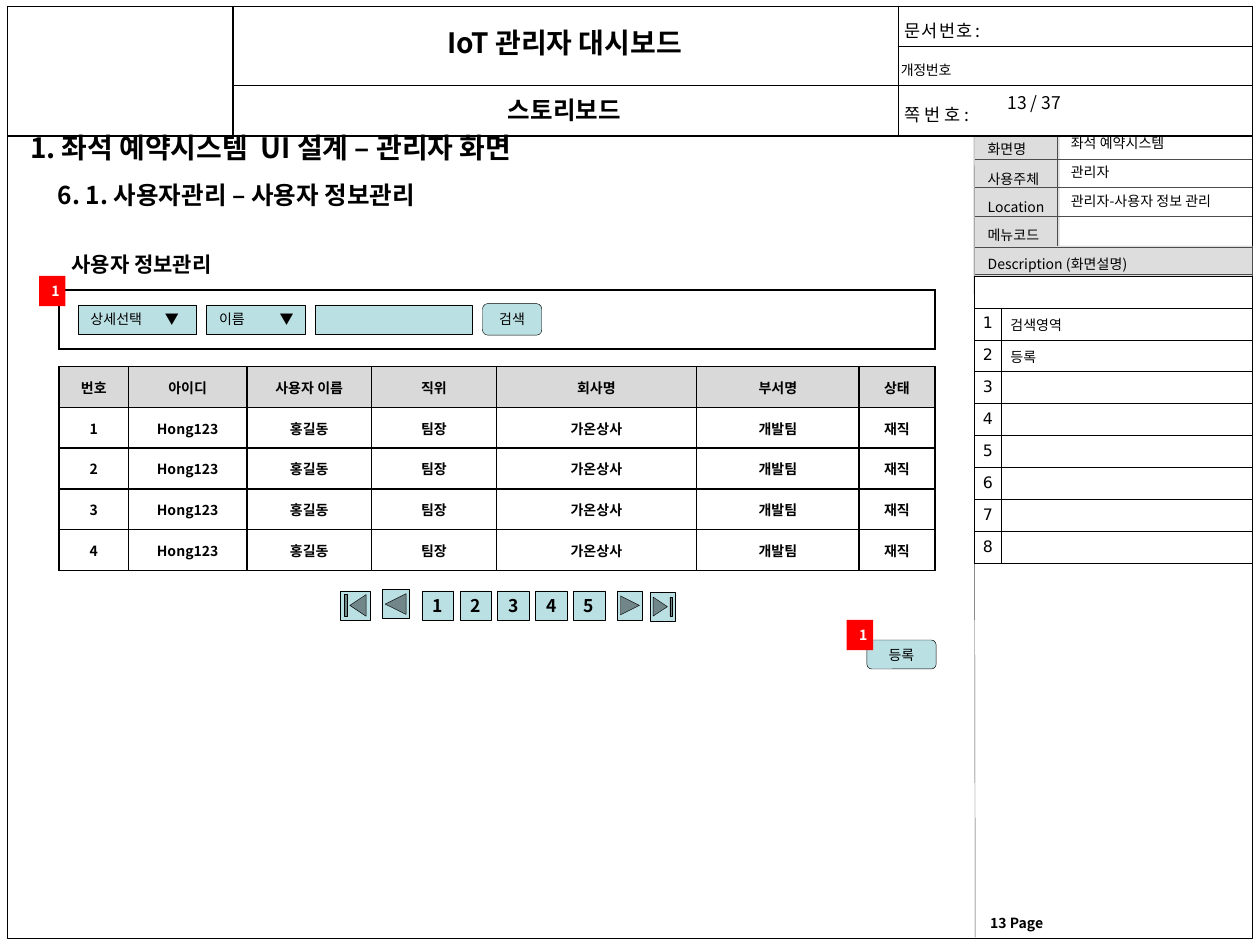
from dataclasses import dataclass, field
from typing import Optional

from lxml.etree import SubElement
from pptx import Presentation
from pptx.dml.color import RGBColor
from pptx.enum.shapes import MSO_CONNECTOR, MSO_SHAPE as Shape
from pptx.enum.text import MSO_ANCHOR as Anchor, PP_ALIGN as Align
from pptx.oxml.ns import qn
from pptx.util import Inches, Pt

BLACK = RGBColor(0, 0, 0)
WHITE = RGBColor(255, 255, 255)
RED = RGBColor(255, 0, 0)
CONTROL = RGBColor(0xBB, 0xE0, 0xE3)
PANEL = RGBColor(0xDD, 0xDD, 0xDD)
HEADING = RGBColor(0xD9, 0xD9, 0xD9)
RULE = RGBColor(0x4D, 0x4D, 0x4D)
KOREAN = "Noto Sans CJK KR"


@dataclass
class Text:
    words: str = ""
    size: float = 8
    bold: bool = False
    color: RGBColor = BLACK
    font: str = KOREAN
    squeeze: float = 0
    indent: float = 0
    tab: Optional[float] = None
    layout: dict = field(default_factory=dict)


@dataclass
class Box:
    left: float
    top: float
    width: float
    height: float
    kind: Optional[Shape] = Shape.RECTANGLE
    fill: Optional[RGBColor] = CONTROL
    line: Optional[RGBColor] = BLACK
    texts: tuple = ()
    wrap: bool = False
    anchor: Anchor = Anchor.MIDDLE
    margin_right: float = 0.1


def apply(target, values: dict) -> None:
    for name, value in values.items():
        setattr(target, name, value)


def write(para, text: Text) -> None:
    apply(para, text.layout)
    if text.indent:
        para._p.get_or_add_pPr().set("marL", str(Inches(text.indent)))
    if text.tab:
        tabs = SubElement(para._p.get_or_add_pPr(), qn("a:tabLst"))
        SubElement(tabs, qn("a:tab"), pos=str(Inches(text.tab)), algn="l")
    if not text.words:
        para._p.get_or_add_endParaRPr().set("sz", str(int(text.size * 100)))
        return
    span = para.add_run()
    span.text = text.words
    apply(span.font, {"name": text.font, "size": Pt(text.size), "bold": text.bold})
    span.font.color.rgb = text.color
    properties = span._r.get_or_add_rPr()
    SubElement(properties, qn("a:ea"), typeface=KOREAN)
    if text.squeeze:
        properties.set("spc", str(int(text.squeeze * 100)))


def paint(fill, color: Optional[RGBColor]) -> None:
    if color is None:
        fill.background()
    else:
        fill.solid()
        fill.fore_color.rgb = color


def draw_box(page, box: Box) -> None:
    place = [Inches(n) for n in (box.left, box.top, box.width, box.height)]
    if box.kind is None:
        shape = page.shapes.add_textbox(*place)
    else:
        shape = page.shapes.add_shape(box.kind, *place)
        shape.shadow.inherit = False
        paint(shape.fill, box.fill)
        paint(shape.line.fill, box.line)
        if box.line is not None:
            shape.line.width = Pt(0.25)
    frame = shape.text_frame
    apply(frame, {"word_wrap": box.wrap, "vertical_anchor": box.anchor,
                  "margin_right": Inches(box.margin_right)})
    for index, text in enumerate(box.texts):
        write(frame.add_paragraph() if index else frame.paragraphs[0], text)


def draw_label(page, left: float, top: float, width: float, height: float, *texts: Text) -> None:
    draw_box(page, Box(left, top, width, height, None, texts=texts, anchor=Anchor.TOP))


def draw_rule(page, x1: float, y1: float, x2: float, y2: float) -> None:
    rule = page.shapes.add_connector(MSO_CONNECTOR.STRAIGHT, *map(Inches, (x1, y1, x2, y2)))
    rule.line.color.rgb = RULE
    rule.line.width = Pt(0.25)
    SubElement(rule._element.spPr, qn("a:effectLst"))


def draw_table(page, left: float, top: float, widths: list, heights: list, texts: dict,
               fills: dict, margins: tuple = (0.09, 0.05, 0.09, 0.05),
               border: float = 1, anchor: Anchor = Anchor.MIDDLE, merges: tuple = ()) -> None:
    place = map(Inches, (left, top, sum(widths), sum(heights)))
    table = page.shapes.add_table(len(heights), len(widths), *place).table
    apply(table, {"first_row": False, "horz_banding": False})
    for column, width in zip(table.columns, widths):
        column.width = Inches(width)
    for row, height in zip(table.rows, heights):
        row.height = Inches(height)
    sides = ("margin_left", "margin_top", "margin_right", "margin_bottom")
    for r in range(len(heights)):
        for c in range(len(widths)):
            cell = table.cell(r, c)
            apply(cell, dict(zip(sides, map(Inches, margins))))
            cell.vertical_anchor = anchor
            for edge in ("lnL", "lnR", "lnT", "lnB"):
                line = SubElement(cell._tc.get_or_add_tcPr(), qn(f"a:{edge}"), w=str(Pt(border)))
                solid = SubElement(line, qn("a:solidFill"))
                SubElement(solid, qn("a:srgbClr"), val=str(BLACK))
            paint(cell.fill, fills.get((r, c), WHITE))
            write(cell.text_frame.paragraphs[0], texts.get((r, c), Text()))
    for first, last in merges:
        table.cell(*first).merge(table.cell(*last))


def draw_frame(page) -> None:
    draw_box(page, Box(0.06, 0.05, 9.88, 7.4, fill=None))
    draw_box(page, Box(7.73, 1.95, 2.21, 0.24, fill=PANEL, line=None))
    draw_box(page, Box(7.73, 1.03, 0.68, 0.94, fill=PANEL, line=None))
    draw_label(page, 7.76, 7.21, 0.65, 0.23, Text("13 Page", bold=True))
    draw_rule(page, 7.73, 1.02, 7.74, 7.44)
    draw_rule(page, 8.39, 1.03, 8.39, 1.95)
    for y in (1.03, 1.26, 1.49, 1.72, 1.96, 2.18):
        draw_rule(page, 7.74, y, 9.94, y)
    captions = {"화면명": 1.6, "사용주체": 1.6, "Location": 1.5, "메뉴코드": 1.5,
                "Description (화면설명)": 1.6}
    draw_label(page, 7.74, 0.99, 2.2, 1.2, *(
        Text(words, layout={"line_spacing": spacing, "space_before": Pt(1.6),
                            "alignment": Align.LEFT})
        for words, spacing in captions.items()))
    fixed = {"line_spacing": Pt(18)}
    centred = fixed | {"alignment": Align.CENTER}
    draw_table(page, 0.06, 0.05, [1.79, 5.28, 2.81], [0.32, 0.31, 0.4], {
        (0, 1): Text("IoT 관리자 대시보드", 16, True, layout=centred),
        (0, 2): Text("문 서 번 호 :", 10, squeeze=-0.7, indent=0.03, layout=fixed),
        (1, 2): Text("개 정 번 호", 8, squeeze=-1,
                     layout={"line_spacing": 1.3, "space_before": Pt(6)}),
        (2, 1): Text("스토리보드", 14, True, font="Times New Roman", layout=centred),
        (2, 2): Text("쪽 번 호 :", 10, indent=0.03, layout=fixed),
    }, {}, (0.02, 0, 0.04, 0), merges=(((0, 0), (2, 0)), ((0, 1), (1, 1))))
    draw_label(page, 7.9, 0.68, 0.73, 0.27, Text("13 / 37", 10))


def draw_search(page) -> None:
    draw_table(page, 0.47, 2.3, [6.95], [0.47], {}, {})
    for left, width, words, tab in ((0.62, 0.94, "상세선택", 0.59), (1.64, 0.78, "이름", 0.48)):
        draw_box(page, Box(left, 2.42, width, 0.23, wrap=True, margin_right=0,
                           texts=(Text(f"{words}\t▼", tab=tab,
                                       layout={"alignment": Align.LEFT}),)))
    draw_box(page, Box(2.5, 2.42, 1.25, 0.23))


def draw_users(page) -> None:
    headings = ["번호", "아이디", "사용자 이름", "직위", "회사명", "부서명", "상태"]
    user = ["Hong123", "홍길동", "팀장", "가온상사", "개발팀", "재직"]
    rows = [headings] + [[str(number)] + user for number in range(1, 5)]
    centred = {"alignment": Align.CENTER}
    texts = {(r, c): Text(words, bold=True, layout=centred)
             for r, row in enumerate(rows) for c, words in enumerate(row)}
    fills = {(0, c): HEADING for c in range(len(headings))}
    draw_table(page, 0.47, 2.91, [0.55, 0.94, 0.99, 0.99, 1.59, 1.29, 0.6],
               [1.62 / len(rows)] * len(rows), texts, fills)


def draw_pager(page) -> None:
    for left, top, width, kind in (
            (2.7, 4.69, 0.24, Shape.ACTION_BUTTON_BEGINNING),
            (3.03, 4.68, 0.22, Shape.ACTION_BUTTON_BACK_OR_PREVIOUS),
            (4.9, 4.69, 0.2, Shape.ACTION_BUTTON_FORWARD_OR_NEXT),
            (5.16, 4.7, 0.2, Shape.ACTION_BUTTON_END)):
        draw_box(page, Box(left, top, width, 0.23, kind))
    for index in range(5):
        number = Text(str(index + 1), 10, True, layout={"alignment": Align.CENTER})
        draw_box(page, Box(3.35 + 0.3 * index, 4.69, 0.25, 0.23, texts=(number,)))


def draw_descriptions(page) -> None:
    before = {"space_before": Pt(1.6)}
    texts = {(row, 0): Text(str(row), 9, font="DejaVu Sans",
                            layout=before | {"alignment": Align.CENTER}) for row in range(1, 9)}
    for row, words in enumerate(("검색영역", "등록"), 1):
        texts[row, 1] = Text(words, indent=0.03, layout=before)
    fills = {(row, 1): None for row in range(1, 9)}
    draw_table(page, 7.73, 2.19, [0.22, 1.99], [2.28 / 9] * 9, texts, fills,
               (0.04, 0.05, 0.04, 0.05), 0.25, Anchor.TOP, (((0, 0), (0, 1)),))


deck = Presentation()
apply(deck, {"slide_width": Inches(10), "slide_height": Inches(7.5)})
page = deck.slides.add_slide(deck.slide_layouts[6])
draw_frame(page)
draw_label(page, 0.14, 0.99, 4.42, 0.37, Text("1. 좌석 예약시스템  UI 설계 – 관리자 화면", 16, True))
draw_label(page, 0.36, 1.38, 3.3, 0.34, Text("6. 1. 사용자관리 – 사용자 정보관리", 14, True))
draw_label(page, 0.47, 1.95, 1.41, 0.3, Text("사용자 정보관리", 12, True))
draw_search(page)
draw_users(page)
draw_pager(page)
for left, top, width, height, words in ((3.83, 2.41, 0.47, 0.25, "검색"),
                                        (6.88, 5.08, 0.55, 0.23, "등록")):
    draw_box(page, Box(left, top, width, height, Shape.ROUNDED_RECTANGLE,
                       texts=(Text(words, layout={"alignment": Align.CENTER}),)))
draw_descriptions(page)
for left, top in ((0.31, 2.19), (6.72, 4.92)):
    draw_box(page, Box(left, top, 0.21, 0.24, fill=RED, line=None, wrap=True, anchor=Anchor.TOP,
                       texts=(Text("1", bold=True, color=WHITE, layout={"alignment": Align.LEFT}),)))
for top, width, words in ((1.02, 1.02, "좌석 예약시스템"), (1.25, 0.54, "관리자"),
                          (1.48, 1.46, "관리자-사용자 정보 관리")):
    draw_label(page, 8.4, top, width, 0.24, Text(words))
deck.save("out.pptx")
